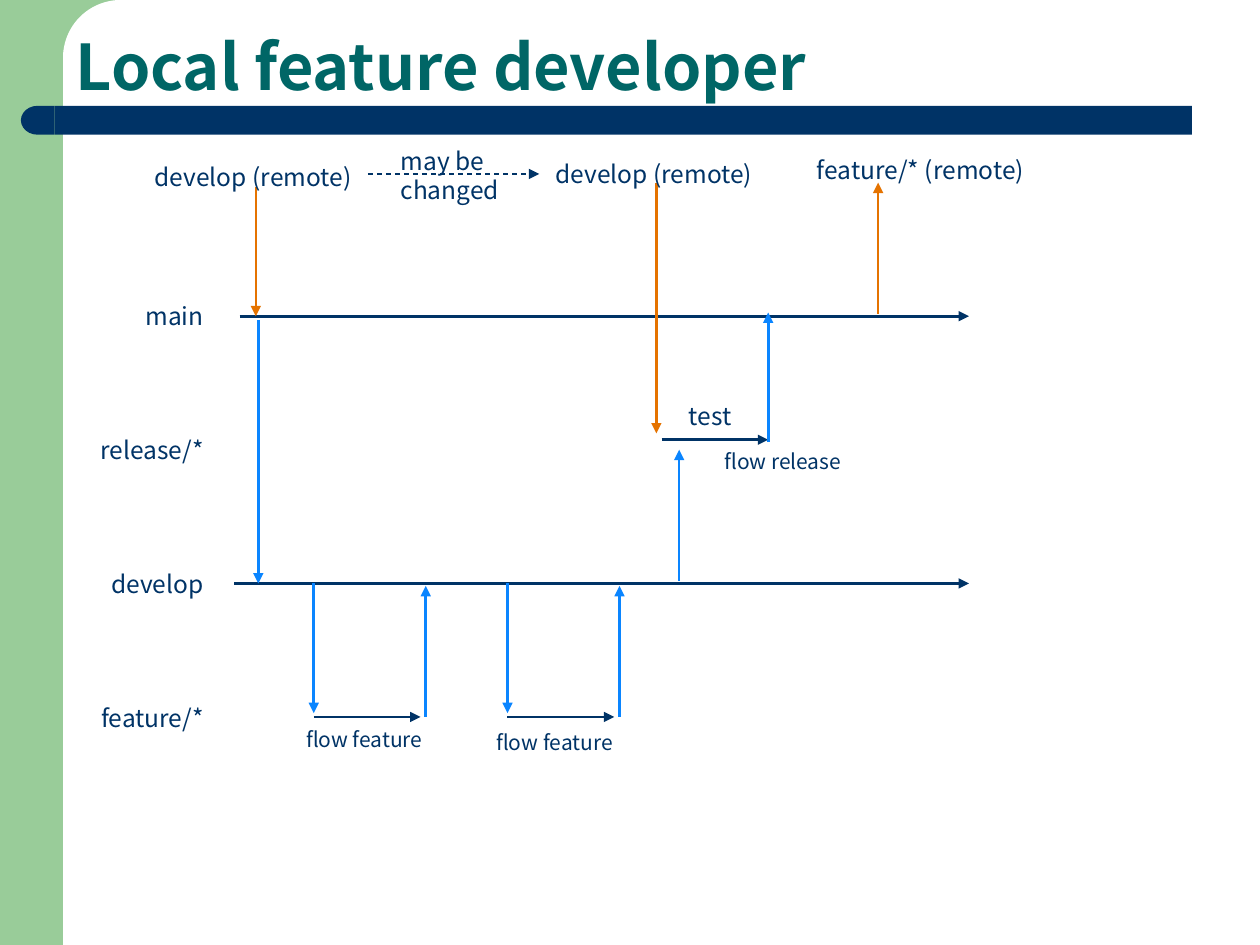
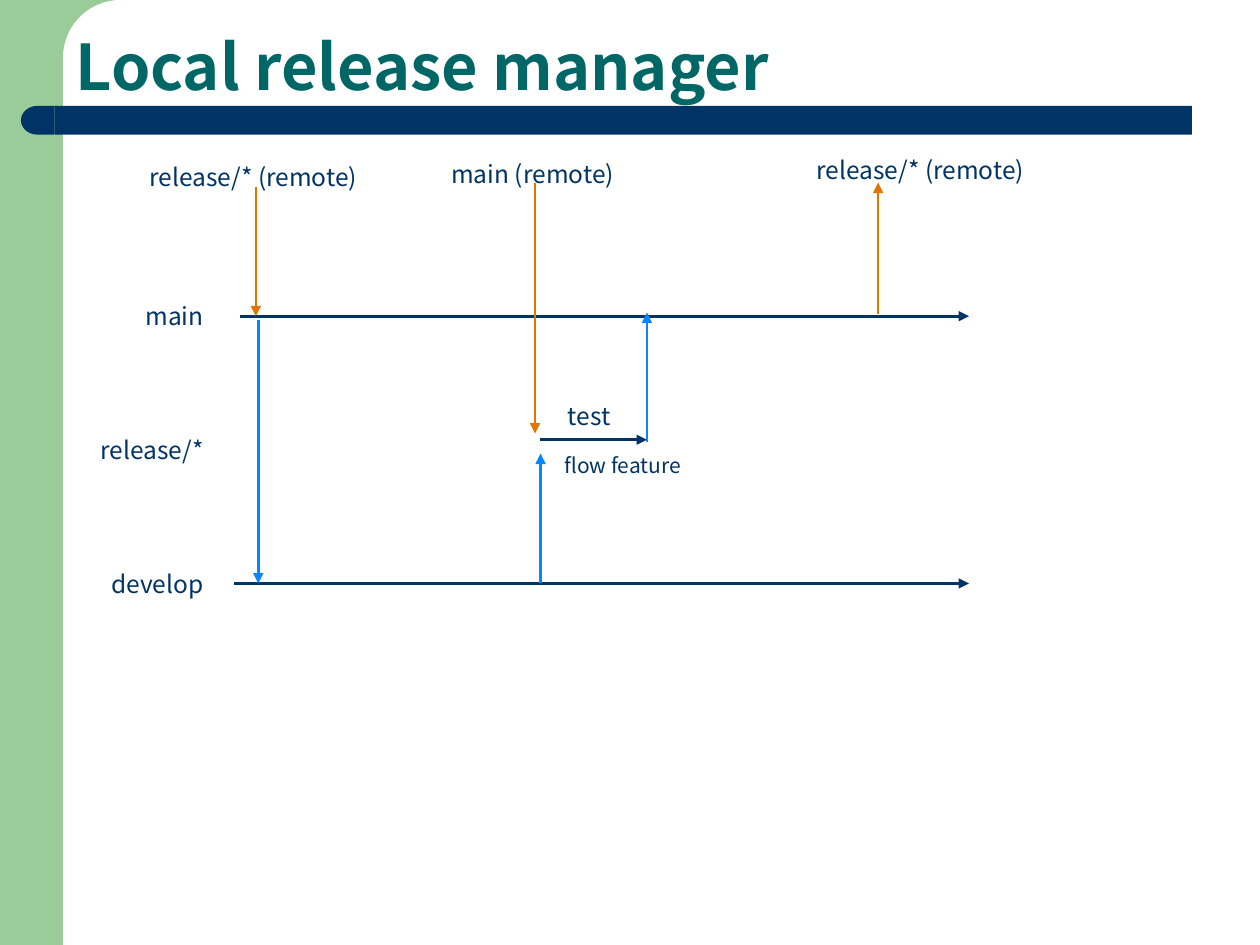
from lxml import etree
from pptx import Presentation
from pptx.dml.color import RGBColor
from pptx.enum import dml, shapes, text
from pptx.oxml.ns import qn
from pptx.util import Pt

FONT = "Noto Sans CJK JP"
NAVY, TEAL, GREEN, WHITE = "003366", "006666", "99CC99", "FFFFFF"
BLUE, ORANGE = "0A85FF", "E57300"
LEFT, CENTER, RIGHT = text.PP_ALIGN.LEFT, text.PP_ALIGN.CENTER, text.PP_ALIGN.RIGHT
PRESET = shapes.MSO_SHAPE

# Lines of the branches, top to bottom
MAIN_Y, RELEASE_Y, DEVELOP_Y, FEATURE_Y = 180.7, 251.3, 333.4, 409.7
LANE_END = 553.7
LANE_LABELS = [("main", 49), ("release/*", 75.5), ("develop", 69), ("feature/*", 75)]
LABEL_TOP, LABEL_STEP, LABEL_RIGHT = 168.5, 76.6, 123.5
LABEL_HEIGHT, NOTE_HEIGHT = 24.2, 21.8
STEP_WIDTH = 61

# Frame: preset, box, fill, corner adjustment
FRAME = [
    (PRESET.RECTANGLE, (0, 0, 36, 540), GREEN, None),
    (PRESET.RECTANGLE, (36, 0, 45, 30), GREEN, None),
    (PRESET.ROUNDED_RECTANGLE, (36, 0, 84, 66), WHITE, 0.5),
    (PRESET.ROUNDED_RECTANGLE, (31, 60.5, 650, 16.5), NAVY, 0),
    (PRESET.FLOWCHART_DELAY, (12, 60.5, 19, 16.5), NAVY, None),
]

# Remote: text, left, width, wraps. Release: left of its step, remote branch,
# foot and head of the arrow up from develop. Notes: text, left, top, width.
SLIDES = [
    dict(title="Local feature developer", lanes=4,
         source=("develop (remote)", 79.2, 131, False),
         target="feature/* (remote)",
         release=dict(left=378, remote="develop (remote)", up=(388.1, 331.9, 257)),
         features=[179.3, 290],
         notes=[("flow feature", 167.8, 411.8, 83.5),
                ("flow feature", 276.5, 413.3, 83.5),
                ("flow release", 406.8, 252.7, 84.2)],
         change="may be changed"),
    dict(title="Local release manager", lanes=3,
         source=("release/* (remote)", 76.3, 137, False),
         target="release/* (remote)",
         release=dict(left=308.7, remote="main (remote)", up=(308.9, 333.4, 259.2)),
         features=[],
         notes=[("flow feature", 315.4, 254.9, 83.5)],
         change=None),
]


def color(value):
    return RGBColor.from_string(value)


def add_span(para, words, size, ink, bold=False):
    span = para.add_run()
    span.text = words
    span.font.name, span.font.size, span.font.bold = FONT, Pt(size), bold
    span.font.color.rgb = color(ink)


def add_label(page, words, left, top, width, wraps=False, align=LEFT, size=14,
              height=LABEL_HEIGHT):
    box = page.shapes.add_textbox(Pt(left), Pt(top), Pt(width), Pt(height))
    frame = box.text_frame
    frame.word_wrap = wraps
    frame.auto_size = text.MSO_AUTO_SIZE.SHAPE_TO_FIT_TEXT
    para = frame.paragraphs[0]
    para.alignment = align
    add_span(para, words, size, NAVY)


def add_arrow(page, x1, y1, x2, y2, ink=NAVY, width=1.5, dashed=False):
    arrow = page.shapes.add_connector(
        shapes.MSO_CONNECTOR.STRAIGHT, Pt(x1), Pt(y1), Pt(x2), Pt(y2))
    arrow.line.color.rgb = color(ink)
    arrow.line.width = Pt(width)
    if dashed:
        arrow.line.dash_style = dml.MSO_LINE.DASH
    properties = arrow.element.spPr
    etree.SubElement(properties.find(qn("a:ln")), qn("a:tailEnd"), type="triangle")
    etree.SubElement(properties, qn("a:effectLst"))


def move_frame_to_master(deck, page):
    """Draw the frame on a page, then hand it to the master for all pages."""
    for number, (preset, bounds, fill, corner) in enumerate(FRAME):
        shape = page.shapes.add_shape(preset, *map(Pt, bounds))
        shape.shadow.inherit = False
        shape.fill.solid()
        shape.fill.fore_color.rgb = color(fill)
        shape.line.fill.background()
        if corner is not None:
            shape.adjustments[0] = corner
        if preset == PRESET.FLOWCHART_DELAY:
            shape.element.spPr.xfrm.set("flipH", "1")
        shape.element.nvSpPr.cNvPr.set("id", str(100 + number))
        deck.slide_master.shapes.element.append(shape.element)


def place_title(layout):
    title = layout.placeholders[0]
    title.left, title.top, title.width, title.height = map(Pt, (36, 9.4, 684, 54))
    title.text_frame.vertical_anchor = text.MSO_ANCHOR.BOTTOM
    title.text_frame.auto_size = text.MSO_AUTO_SIZE.NONE


def add_title(page, words):
    para = page.shapes.title.text_frame.paragraphs[0]
    para.alignment, para.line_spacing = LEFT, 0.9
    add_span(para, words, 36, TEAL, bold=True)


def add_lanes(page, count):
    for row, (name, width) in enumerate(LANE_LABELS[:count]):
        add_label(page, name, LABEL_RIGHT - width, LABEL_TOP + row * LABEL_STEP,
                  width, align=RIGHT)
    add_arrow(page, 134, DEVELOP_Y, LANE_END, DEVELOP_Y)
    add_arrow(page, 137, MAIN_Y, LANE_END, MAIN_Y)


def add_remotes(page, source, target):
    words, left, width, wraps = source
    add_arrow(page, 146.2, 106.6, 146.2, MAIN_Y, ORANGE)
    add_label(page, words, left, 89.3, width, wraps, CENTER)
    add_arrow(page, 147.6, 183, 147.6, DEVELOP_Y, BLUE)
    add_arrow(page, 501.8, 179.3, 501.8, 104.4, ORANGE)
    add_label(page, target, 450, 85, 152, True, CENTER)


def add_feature(page, left):
    right = left + STEP_WIDTH
    add_arrow(page, left, FEATURE_Y, right, FEATURE_Y)
    add_arrow(page, right + 3, FEATURE_Y, right + 3, DEVELOP_Y + 1.4, BLUE)
    add_arrow(page, left, DEVELOP_Y, left, FEATURE_Y - 2.2, BLUE)


def add_release(page, left, remote, up):
    right = left + STEP_WIDTH
    up_x, foot, head = up
    add_arrow(page, left, RELEASE_Y, right, RELEASE_Y)
    add_arrow(page, left - 2.9, 104.4, left - 2.9, 247.7, ORANGE)
    add_label(page, remote, left - 69.8, 87.1, 131, True, CENTER)
    add_label(page, "test", left + 8.6, 225.4, 39.6)
    add_arrow(page, up_x, foot, up_x, head, BLUE)
    add_arrow(page, right, 252.7, right, 178.6, BLUE)


def main():
    deck = Presentation()
    deck.slide_width, deck.slide_height = Pt(720), Pt(540)
    layout = deck.slide_layouts.get_by_name("Title Only")
    place_title(layout)
    for number, content in enumerate(SLIDES):
        page = deck.slides.add_slide(layout)
        if number == 0:
            move_frame_to_master(deck, page)
        add_title(page, content["title"])
        add_lanes(page, content["lanes"])
        for left in content["features"]:
            add_feature(page, left)
        add_remotes(page, content["source"], content["target"])
        add_release(page, **content["release"])
        if content["change"]:
            add_arrow(page, 210.2, 99.4, 308.2, 99.4, width=0.75, dashed=True)
            add_label(page, content["change"], 221.8, 79.9, 75.6, True, height=41)
        for words, left, top, width in content["notes"]:
            add_label(page, words, left, top, width, size=12, height=NOTE_HEIGHT)
    deck.save("out.pptx")


if __name__ == "__main__":
    main()
